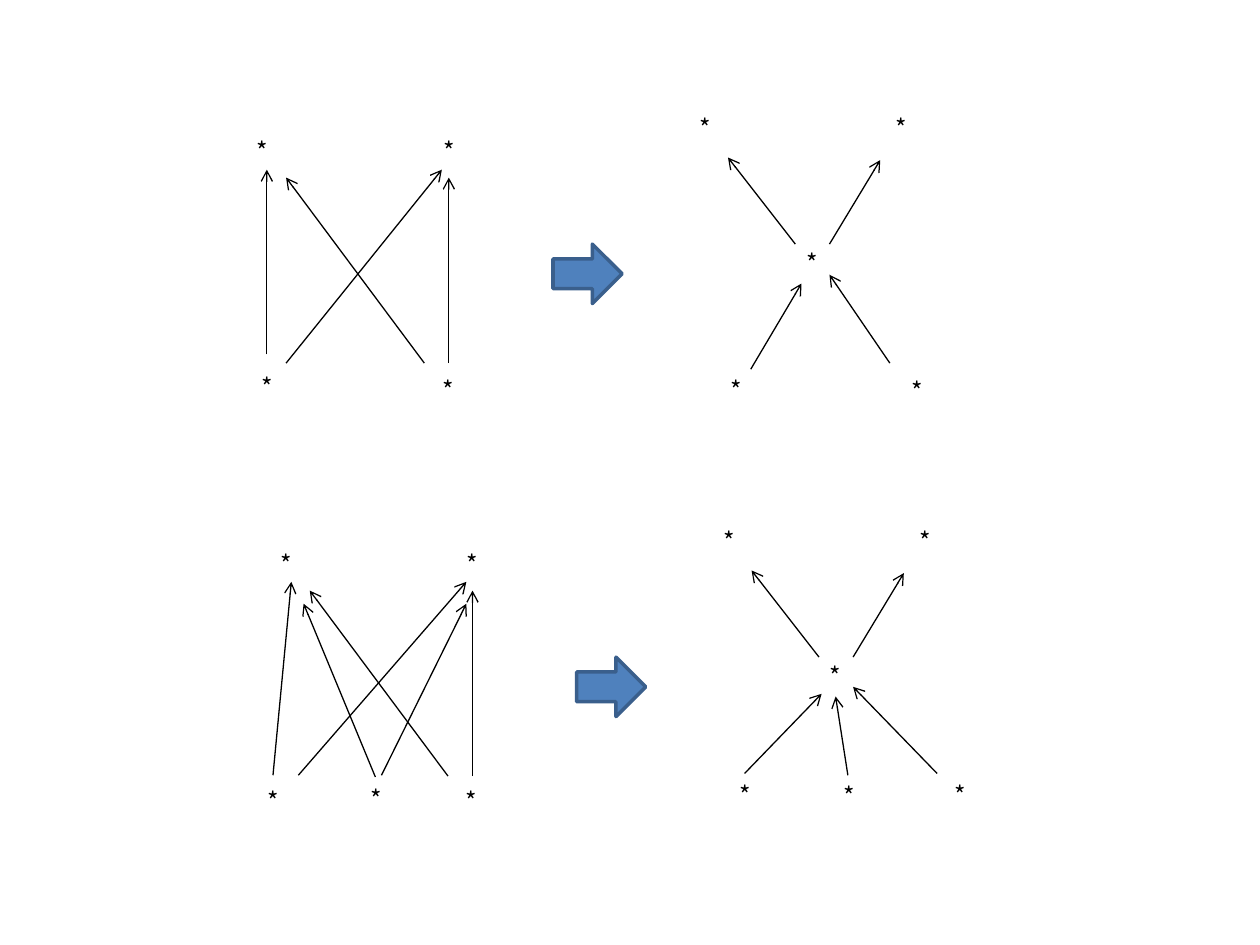
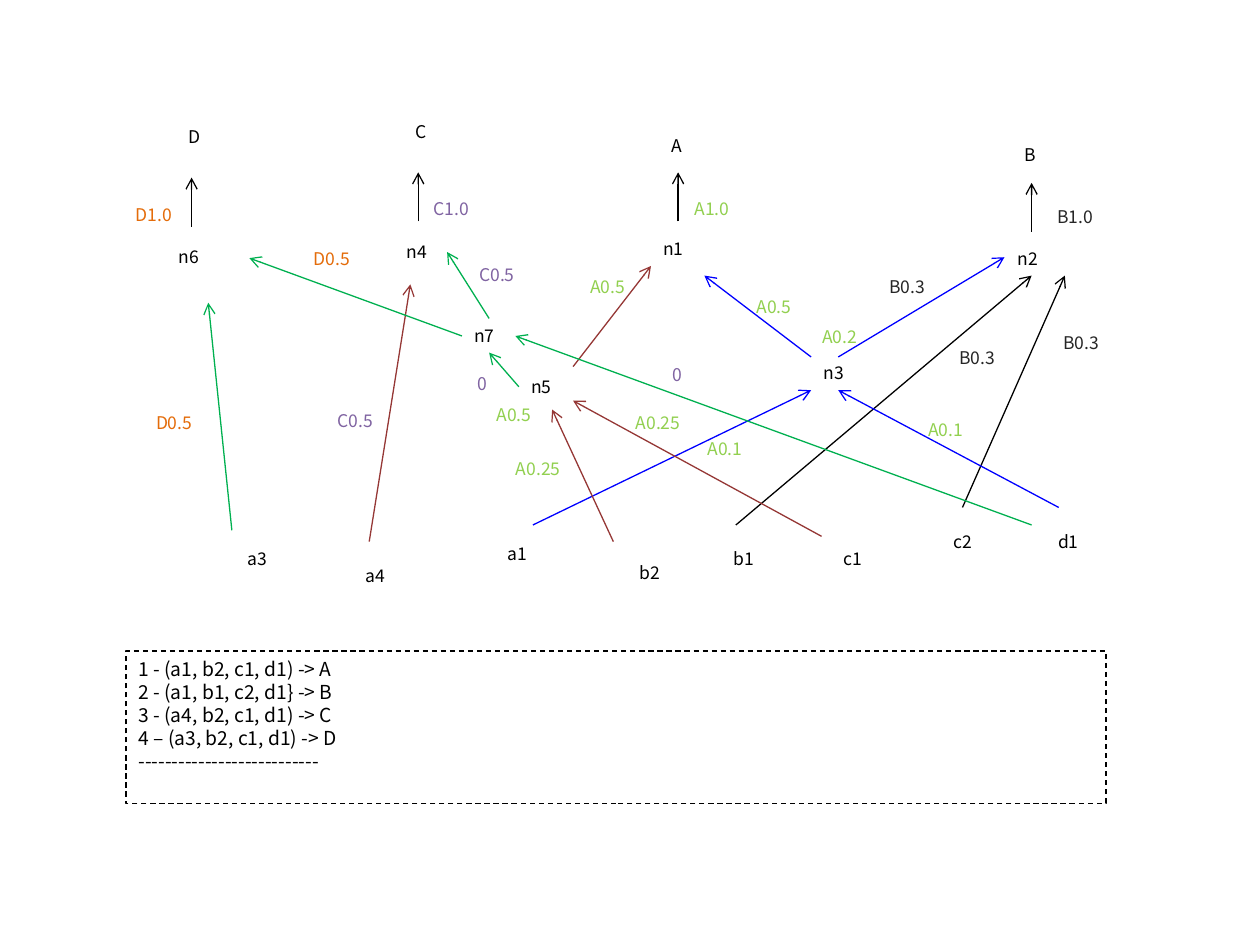
from lxml import etree
from pptx import Presentation
from pptx.dml.color import RGBColor
from pptx.enum.dml import MSO_LINE
from pptx.enum.shapes import MSO_CONNECTOR, MSO_SHAPE
from pptx.enum.text import MSO_ANCHOR, MSO_AUTO_SIZE, PP_ALIGN
from pptx.oxml.ns import qn
from pptx.util import Pt

STRAIGHT = MSO_CONNECTOR.STRAIGHT
RECT, RIGHT_ARROW = MSO_SHAPE.RECTANGLE, MSO_SHAPE.RIGHT_ARROW
LEFT, CENTER = PP_ALIGN.LEFT, PP_ALIGN.CENTER
TOP, GROW, DASH = MSO_ANCHOR.TOP, MSO_AUTO_SIZE.SHAPE_TO_FIT_TEXT, MSO_LINE.DASH

FONT = "Noto Sans CJK KR"
BLACK, GREY = "000000", "262626"
BLUE, BROWN, GREEN = "0000FF", "953735", "00B050"
ORANGE, PURPLE, LIME = "E46C0A", "8064A2", "92D050"
ARROW_FILL, ARROW_LINE = "4F81BD", "3A5F8C"


def rgb(value):
    return RGBColor.from_string(value)


def write(tf, text, size=10, color=BLACK, align=CENTER):
    """Fill a text frame, one paragraph for each line of text."""
    tf.word_wrap = True
    tf.vertical_anchor = TOP
    for i, line in enumerate(text.split("\n")):
        p = tf.paragraphs[0] if i == 0 else tf.add_paragraph()
        p.alignment = align
        r = p.add_run()
        r.text = line
        r.font.name = FONT
        r.font.size = Pt(size)
        r.font.color.rgb = rgb(color)


class Deck:
    """Holds the presentation and the slide being drawn; lengths in points."""

    def __init__(self, width, height):
        self.prs = Presentation()
        self.prs.slide_width, self.prs.slide_height = Pt(width), Pt(height)
        self.s = None

    def new_slide(self):
        self.s = self.prs.slides.add_slide(self.prs.slide_layouts[6])

    def label(self, text, x, y, w=42, h=19.5, **fmt):
        tf = self.s.shapes.add_textbox(Pt(x), Pt(y), Pt(w), Pt(h)).text_frame
        write(tf, text, **fmt)
        tf.auto_size = GROW

    def labels(self, items, **fmt):
        for text, x, y in items:
            self.label(text, x, y, **fmt)

    def stars(self, places, dx=0, dy=0):
        for x, y in places:
            self.label("*", x + dx, y + dy, w=41, h=24.5, size=14)

    def arrows(self, ends, color=BLACK, dx=0, dy=0):
        for x1, y1, x2, y2 in ends:
            c = self.s.shapes.add_connector(
                STRAIGHT, Pt(x1 + dx), Pt(y1 + dy), Pt(x2 + dx), Pt(y2 + dy))
            c.line.color.rgb = rgb(color)
            c.line.width = Pt(0.75)
            ln = c.line._get_or_add_ln()
            etree.SubElement(ln, qn("a:tailEnd"), type="arrow")
            etree.SubElement(c._element.spPr, qn("a:effectLst"))

    def shape(self, kind, x, y, w, h, fill=None, line=BLACK, width=0.75):
        sp = self.s.shapes.add_shape(kind, Pt(x), Pt(y), Pt(w), Pt(h))
        sp.shadow.inherit = False
        if fill:
            sp.fill.solid()
            sp.fill.fore_color.rgb = rgb(fill)
        else:
            sp.fill.background()
        sp.line.color.rgb = rgb(line)
        sp.line.width = Pt(width)
        return sp


def merge_rules(deck):
    """Links between two layers are rerouted through one middle node."""
    deck.new_slide()

    # Parts that both rows have, the second row shifted
    top_and_middle = [(129.5, 74), (236, 74), (382.5, 61), (494.5, 61), (443.5, 138)]
    shared_links = [(474, 139.5, 503, 91.5), (454.5, 139.5, 416, 90),
                    (256.5, 207.5, 256.5, 101.5), (242.5, 207.5, 163.5, 101.5)]
    for dx, dy in [(0, 0), (13.5, 236)]:
        deck.stars(top_and_middle, dx, dy)
        deck.arrows(shared_links, dx=dx, dy=dy)
        deck.shape(RIGHT_ARROW, 316 + dx, 139.5 + dy, 39.5, 34,
                   fill=ARROW_FILL, line=ARROW_LINE, width=2)

    # Two sources
    deck.stars([(132.5, 209), (235.5, 210.5), (400.5, 211), (503.5, 211.5)])
    deck.arrows([(163.5, 207.5, 252.5, 97), (152.5, 202.5, 152.5, 97),
                 (429, 211, 458, 162), (508.5, 207.5, 474, 157)])

    # Three sources
    deck.stars([(135.5, 445.5), (194.5, 444.5), (248.5, 445.5),
                (405.5, 442), (464.5, 443), (528.5, 442)])
    deck.arrows([(170.5, 443, 266.5, 332.5), (156, 443, 166.5, 332.5),
                 (214.5, 444, 173.5, 345), (218, 443, 266.5, 345),
                 (425.5, 442, 469.5, 396.5), (484.5, 443, 477.5, 398),
                 (535.5, 442, 487.5, 392.5)])


def weighted_network(deck):
    deck.new_slide()

    # Links by colour
    deck.arrows([(387.5, 126.5, 387.5, 98.5), (589.5, 132.5, 589.5, 104.5),
                 (239, 126.5, 239, 98.5), (109.5, 129.5, 109.5, 101.5),
                 (420.5, 300, 589.5, 157.5), (550, 290, 608.5, 157.5)])
    deck.arrows([(304.5, 300, 463.5, 223), (605, 290, 479, 223),
                 (479, 204, 574, 147), (463.5, 204, 402.5, 157.5)], BLUE)
    deck.arrows([(211, 309.5, 234.5, 162.5), (350.5, 309.5, 315.5, 234),
                 (469.5, 306.5, 327.5, 229), (327.5, 209.5, 372, 152)], BROWN)
    deck.arrows([(132.5, 303, 119, 173), (264, 192, 142.5, 147.5),
                 (589.5, 300, 294.5, 192), (296.5, 221, 279.5, 201.5),
                 (279.5, 182, 255.5, 144)], GREEN)

    # Outputs, inner nodes and inputs
    deck.labels([("D", 90, 68.5), ("C", 219.5, 65.5),
                 ("A", 366, 73.5), ("B", 567.5, 79)])
    deck.labels([("n1", 372, 132.5), ("n2", 574.5, 138), ("n3", 463.5, 203.5),
                 ("n4", 225.5, 134), ("n5", 296.5, 211.5), ("n6", 95, 137),
                 ("n7", 264, 182)], w=30, align=LEFT)
    deck.labels([("a3", 126, 309.5), ("a4", 193.5, 319.5), ("a1", 274.5, 306.5),
                 ("b2", 350.5, 317.5), ("b1", 404, 309.5), ("c1", 466.5, 309.5),
                 ("c2", 529, 300), ("d1", 589.5, 300)])

    # Weights by output
    deck.labels([("D1.0", 67, 113), ("D0.5", 78.5, 232), ("D0.5", 168.5, 138)],
                color=ORANGE)
    deck.labels([("C1.0", 237, 109.5), ("C0.5", 263, 147.5),
                 ("C0.5", 182, 230.5), ("0", 366, 204.5)], color=PURPLE)
    deck.label("0", 265, 209.5, w=21.5, color=PURPLE)
    deck.labels([("A1.0", 388, 109.5), ("A0.5", 423.5, 165.5),
                 ("A0.5", 328.5, 154), ("A0.5", 275, 227.5), ("A0.2", 461, 183),
                 ("A0.1", 521.5, 236), ("A0.1", 395.5, 247)], w=37.5, color=LIME)
    deck.labels([("A0.25", 286, 258), ("A0.25", 354.5, 232)], w=43, color=LIME)
    deck.labels([("B1.0", 595.5, 114), ("B0.3", 599, 186),
                 ("B0.3", 539.5, 194.5), ("B0.3", 499.5, 154)], w=37.5, color=GREY)

    # Training rules
    box = deck.shape(RECT, 72, 372, 560, 87)
    box.line.dash_style = DASH
    rules = ["1 - (a1, b2, c1, d1) -> A", "2 - (a1, b1, c2, d1} -> B",
             "3 - (a4, b2, c1, d1) -> C", "4 – (a3, b2, c1, d1) -> D", "-" * 27]
    write(box.text_frame, "\n".join(rules), size=11, align=LEFT)


def main():
    deck = Deck(720, 540)
    merge_rules(deck)
    weighted_network(deck)
    deck.prs.save("out.pptx")


if __name__ == "__main__":
    main()
